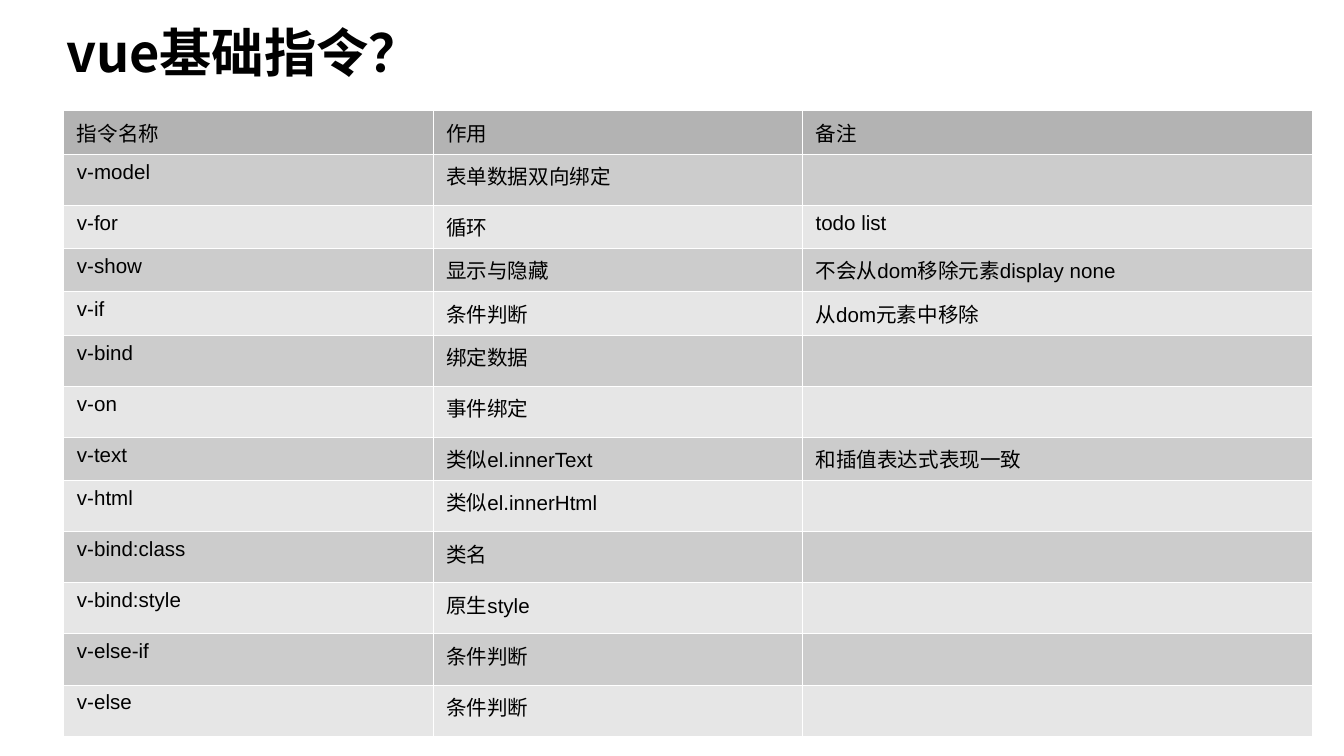
from dataclasses import dataclass

import lxml.etree
import pptx
import pptx.dml.color
import pptx.oxml.ns
import pptx.slide
import pptx.table
import pptx.text.text
import pptx.util

Cm, Pt = pptx.util.Cm, pptx.util.Pt
qn = pptx.oxml.ns.qn

COLORS = {
    "text": "000000",
    "border": "FFFFFF",
    "header": "B3B3B3",
    "odd": "CCCCCC",
    "even": "E6E6E6",
}
LATIN, CJK = "Arial", "Noto Sans CJK SC"
COL_WIDTHS = (6.98, 6.98, 9.63)
ROW_HEIGHT = 0.76


@dataclass
class Directive:
    name: str
    purpose: str
    note: str = ""


ROWS = [
    Directive("指令名称", "作用", "备注"),
    Directive("v-model", "表单数据双向绑定"),
    Directive("v-for", "循环", "todo list"),
    Directive("v-show", "显示与隐藏", "不会从dom移除元素display none"),
    Directive("v-if", "条件判断", "从dom元素中移除"),
    Directive("v-bind", "绑定数据"),
    Directive("v-on", "事件绑定"),
    Directive("v-text", "类似el.innerText", "和插值表达式表现一致"),
    Directive("v-html", "类似el.innerHtml"),
    Directive("v-bind:class", "类名"),
    Directive("v-bind:style", "原生style"),
    Directive("v-else-if", "条件判断"),
    Directive("v-else", "条件判断"),
]


def rgb(name: str) -> pptx.dml.color.RGBColor:
    return pptx.dml.color.RGBColor.from_string(COLORS[name])


def format_run(r: pptx.text.text._Run, size: float, font: str, bold: bool) -> None:
    r.font.size = Pt(size)
    r.font.name = font
    r.font.bold = bold
    r.font.color.rgb = rgb("text")
    ea = lxml.etree.SubElement(r.font._element, qn("a:ea"))
    ea.set("typeface", CJK)


def add_borders(cell: pptx.table._Cell) -> None:
    tc_pr = cell._tc.get_or_add_tcPr()
    for side in ("lnL", "lnR", "lnT", "lnB"):
        ln = lxml.etree.SubElement(tc_pr, qn(f"a:{side}"), w=str(Pt(0.06)))
        fill = lxml.etree.SubElement(ln, qn("a:solidFill"))
        lxml.etree.SubElement(fill, qn("a:srgbClr"), val=COLORS["border"])


def fill_cell(cell: pptx.table._Cell, text: str, color: str) -> None:
    add_borders(cell)
    cell.fill.solid()
    cell.fill.fore_color.rgb = rgb(color)
    p = cell.text_frame.paragraphs[0]
    if text:
        p.text = text
        format_run(p.runs[0], 11, LATIN, False)
    else:
        # An empty cell keeps an 18 pt line, which makes its row taller
        end = lxml.etree.SubElement(p._p, qn("a:endParaRPr"), sz="1800")
        lxml.etree.SubElement(end, qn("a:latin"), typeface=LATIN)


def add_directive_table(slide: pptx.slide.Slide, rows: list[Directive]) -> None:
    sp = slide.shapes.add_table(
        len(rows), len(COL_WIDTHS), Cm(1.2), Cm(2.09),
        Cm(sum(COL_WIDTHS)), Cm(ROW_HEIGHT * len(rows)),
    )
    table = sp.table
    for column, width in zip(table.columns, COL_WIDTHS):
        column.width = Cm(width)
    for i, row in enumerate(rows):
        table.rows[i].height = Cm(ROW_HEIGHT)
        color = "header" if i == 0 else "odd" if i % 2 else "even"
        for j, text in enumerate((row.name, row.purpose, row.note)):
            fill_cell(table.cell(i, j), text, color)


def add_title(slide: pptx.slide.Slide, text: str) -> None:
    sp = slide.shapes.add_textbox(Cm(1), Cm(0.25), Cm(7.47), Cm(1.55))
    tf = sp.text_frame
    tf.word_wrap = False
    tf.text = text
    format_run(tf.paragraphs[0].runs[0], 28, CJK, True)


def main() -> None:
    prs = pptx.Presentation()
    prs.slide_width, prs.slide_height = Cm(25.4), Cm(14.29)
    slide = prs.slides.add_slide(prs.slide_layouts[6])

    # Table of directives
    add_directive_table(slide, ROWS)

    # Heading
    add_title(slide, "vue基础指令？")

    prs.save("out.pptx")


if __name__ == "__main__":
    main()
